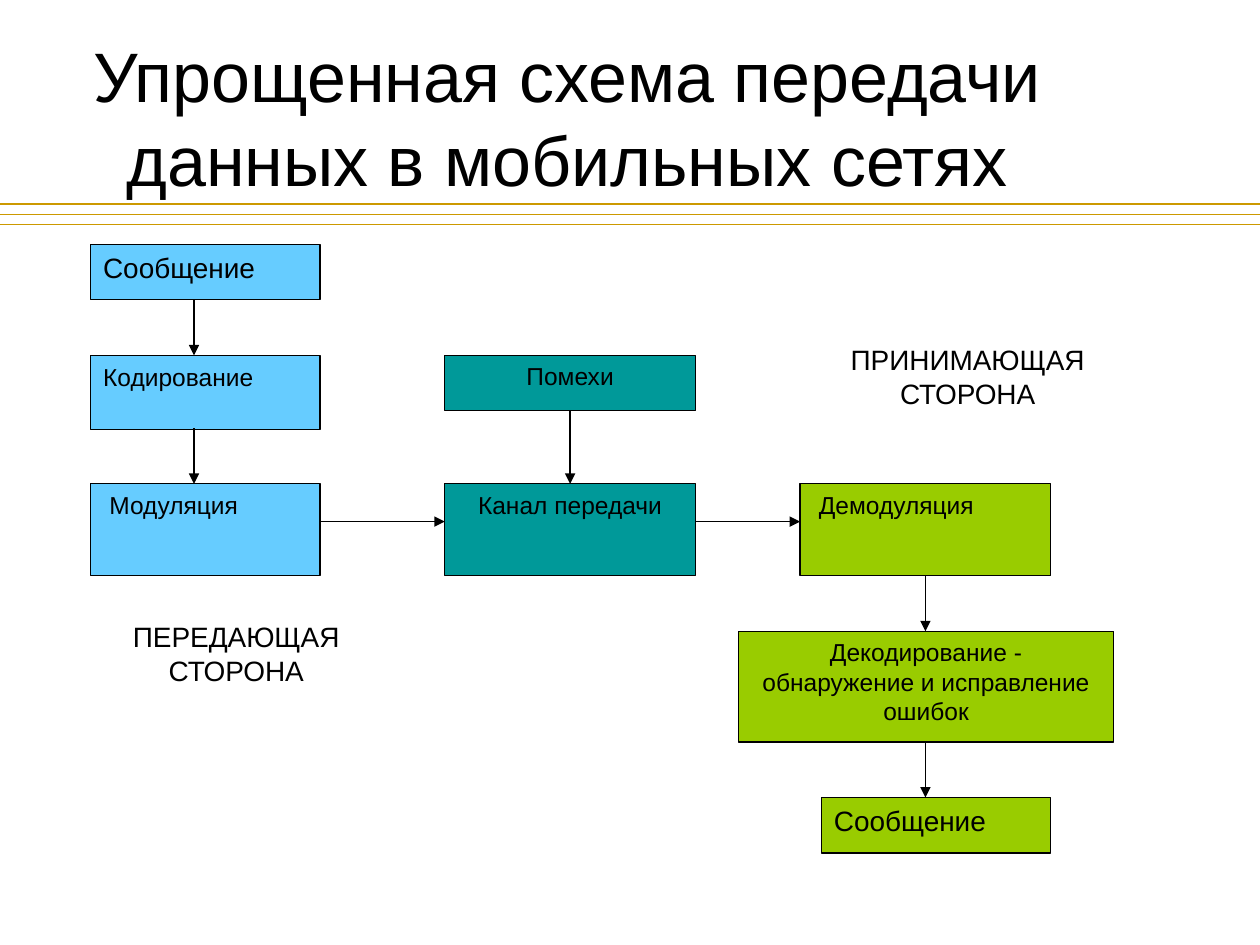
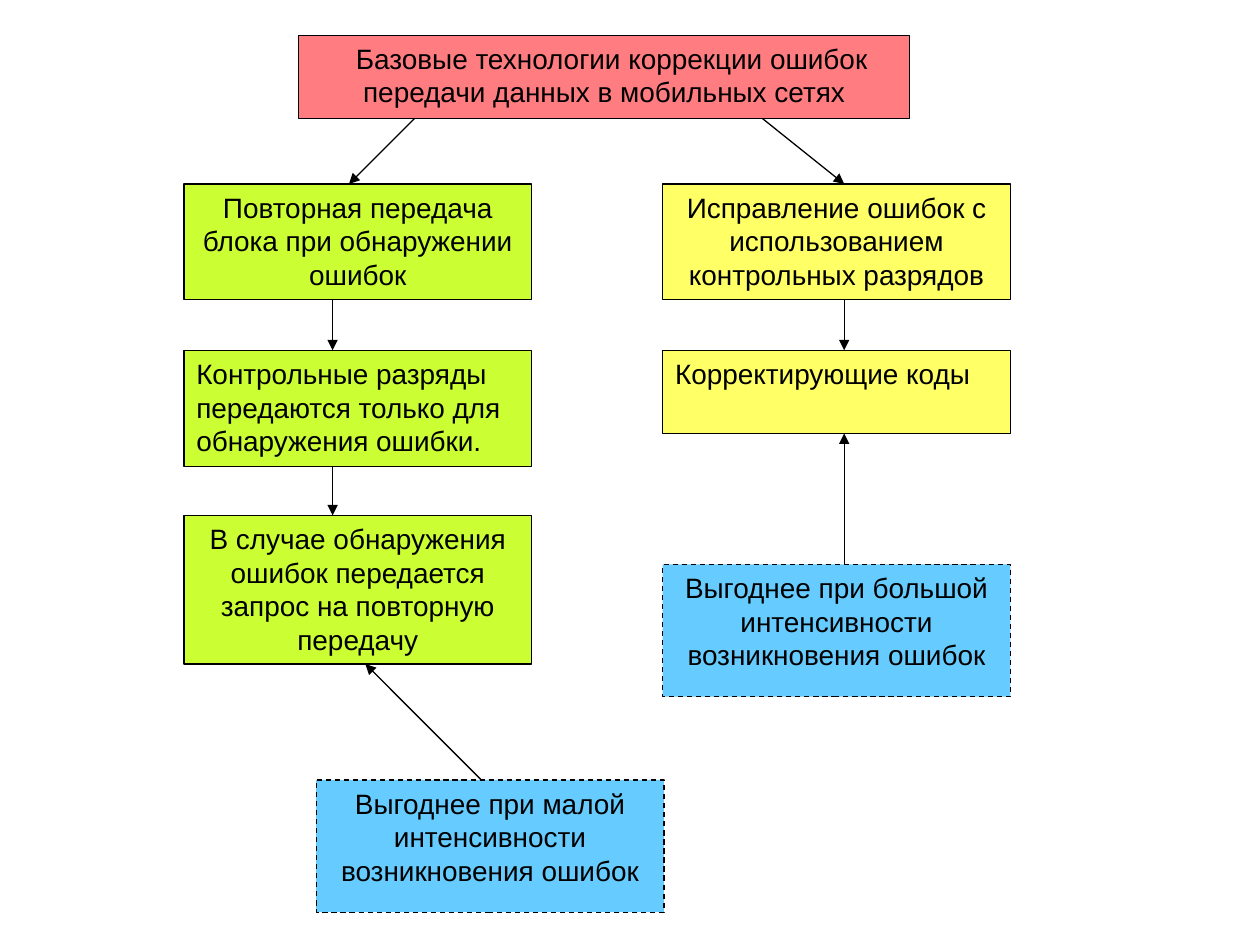
from pptx import Presentation
from pptx.dml.color import RGBColor
from pptx.enum.dml import MSO_LINE
from pptx.enum.shapes import MSO_CONNECTOR, MSO_SHAPE
from pptx.enum.text import MSO_ANCHOR, PP_ALIGN
from pptx.oxml.ns import qn
from pptx.util import Inches, Pt
from lxml.etree import SubElement

BLACK = RGBColor(0x00, 0x00, 0x00)
WHITE = RGBColor(0xFF, 0xFF, 0xFF)
GOLD = RGBColor(0xCC, 0x99, 0x00)
SKY = RGBColor(0x66, 0xCC, 0xFF)
TEAL = RGBColor(0x00, 0x99, 0x99)
GREEN = RGBColor(0x99, 0xCC, 0x00)
LIME = RGBColor(0xCC, 0xFF, 0x33)
YELLOW = RGBColor(0xFF, 0xFF, 0x66)
CORAL = RGBColor(0xFF, 0x7C, 0x80)

FONT = "Arial"
LINE_WIDTH = Pt(0.75)
TITLE_ONLY, BLANK = 5, 6


def write(frame, text, size=16, align=PP_ALIGN.CENTER, anchor=MSO_ANCHOR.TOP, indent=0):
    """Fill a text frame with one paragraph; indent (inches) shifts its first line."""
    frame.word_wrap = True
    frame.vertical_anchor = anchor
    frame.margin_left = frame.margin_right = Inches(0.1)
    frame.margin_top = frame.margin_bottom = Inches(0.05)
    para = frame.paragraphs[0]
    para.alignment = align
    if indent:
        properties = para._p.get_or_add_pPr()
        properties.set("marL", "0")
        properties.set("indent", str(Inches(indent)))
    span = para.add_run()
    span.text = text
    span.font.name = FONT
    span.font.size = Pt(size)
    span.font.color.rgb = BLACK


class Scheme:
    """Draws flow diagrams on the current page of a deck."""

    def __init__(self):
        self.deck = Presentation()
        self.deck.slide_width = Inches(10)
        self.deck.slide_height = Inches(7.5)
        self.page = None

    def add_page(self, layout):
        self.page = self.deck.slides.add_slide(self.deck.slide_layouts[layout])
        self.page.background.fill.solid()
        self.page.background.fill.fore_color.rgb = WHITE

    def title(self, text):
        title = self.page.shapes.title
        title.left, title.top = Inches(0), Inches(0.3)
        title.width, title.height = Inches(9), Inches(1.25)
        write(title.text_frame, text, size=40, anchor=MSO_ANCHOR.MIDDLE)

    def box(self, left, top, width, height, text, fill, dashed=False, **style):
        box = self.page.shapes.add_shape(
            MSO_SHAPE.RECTANGLE, Inches(left), Inches(top), Inches(width), Inches(height))
        box.shadow.inherit = False
        box.fill.solid()
        box.fill.fore_color.rgb = fill
        box.line.color.rgb = BLACK
        box.line.width = LINE_WIDTH
        if dashed:
            box.line.dash_style = MSO_LINE.DASH
        write(box.text_frame, text, **style)

    def label(self, left, top, width, height, text):
        label = self.page.shapes.add_textbox(
            Inches(left), Inches(top), Inches(width), Inches(height))
        write(label.text_frame, text)

    def line(self, start, end, color=BLACK):
        line = self.page.shapes.add_connector(
            MSO_CONNECTOR.STRAIGHT, *(Inches(length) for length in (*start, *end)))
        line.line.color.rgb = color
        line.line.width = LINE_WIDTH
        SubElement(line._element.spPr, qn("a:effectLst"))
        return line

    def arrow(self, start, end):
        outline = self.line(start, end).line._get_or_add_ln()
        SubElement(outline, qn("a:tailEnd"), type="triangle")

    def down_arrows(self, x, *spans):
        for top, bottom in spans:
            self.arrow((x, top), (x, bottom))


def build_transmission(scheme):
    scheme.add_page(TITLE_ONLY)
    scheme.title("Упрощенная схема передачи данных в мобильных сетях")
    for row in range(3):
        y = 1.62 + 0.08 * row
        scheme.line((0, y), (10, y), GOLD)

    left = PP_ALIGN.LEFT
    sender, channel, receiver = 0.72, 3.53, 6.35
    narrow, wide = 1.82, 1.99
    top, middle, low = 1.94, 2.82, 3.84

    scheme.box(sender, top, narrow, 0.44, "Сообщение", SKY, align=left)
    scheme.box(sender, middle, narrow, 0.59, "Кодирование", SKY, size=14, align=left)
    scheme.box(sender, low, narrow, 0.73, "Модуляция", SKY, size=14, align=left, indent=0.05)
    scheme.box(channel, middle, wide, 0.44, "Помехи", TEAL, size=14)
    scheme.box(channel, low, wide, 0.73, "Канал передачи", TEAL, size=14)
    scheme.box(receiver, low, wide, 0.73, "Демодуляция", GREEN, size=14, align=left, indent=0.05)
    scheme.box(5.86, 5.01, 2.98, 0.88,
               "Декодирование - обнаружение и исправление ошибок", GREEN, size=14)
    scheme.box(6.52, 6.33, narrow, 0.44, "Сообщение", GREEN, align=left)
    scheme.label(0.55, 4.87, 2.65, 0.73, "ПЕРЕДАЮЩАЯ СТОРОНА")
    scheme.label(6.19, 2.67, 2.98, 0.73, "ПРИНИМАЮЩАЯ СТОРОНА")

    scheme.down_arrows(1.54, (2.38, middle), (3.4, low))
    scheme.down_arrows(channel + wide / 2, (3.26, low))
    scheme.down_arrows(receiver + wide / 2, (4.57, 5.01), (5.89, 6.33))
    scheme.arrow((sender + narrow, 4.14), (channel, 4.14))
    scheme.arrow((channel + wide, 4.14), (receiver, 4.14))


def build_correction(scheme):
    scheme.add_page(BLANK)
    width = 2.76
    retry, repair = 1.46, 5.26
    retry_axis, repair_axis = 2.64, 6.7

    scheme.box(2.37, 0.28, 4.85, 0.66,
               "Базовые технологии коррекции ошибок передачи данных в мобильных сетях",
               CORAL, indent=0.12)
    scheme.box(retry, 1.46, width, 0.92,
               "Повторная передача блока при обнаружении ошибок", LIME)
    scheme.box(retry, 2.78, width, 0.92,
               "Контрольные разряды передаются только для обнаружения ошибки.",
               LIME, align=PP_ALIGN.LEFT)
    scheme.box(retry, 4.09, width, 1.18,
               "В случае обнаружения ошибок передается запрос на повторную передачу", LIME)
    scheme.box(repair, 1.46, width, 0.92,
               "Исправление ошибок с использованием контрольных разрядов", YELLOW)
    scheme.box(repair, 2.78, width, 0.66, "Корректирующие коды", YELLOW, align=PP_ALIGN.LEFT)
    for x, y, intensity in ((2.51, 6.19, "малой"), (repair, 4.48, "большой")):
        scheme.box(x, y, width, 1.05,
                   f"Выгоднее при {intensity} интенсивности возникновения ошибок",
                   SKY, dashed=True)

    scheme.arrow((3.29, 0.94), (2.77, 1.46))
    scheme.arrow((6.05, 0.94), (repair_axis, 1.46))
    scheme.down_arrows(retry_axis, (2.38, 2.78), (3.7, 4.09))
    scheme.down_arrows(repair_axis, (2.38, 2.78))
    scheme.arrow((3.82, 6.19), (2.9, 5.27))
    scheme.arrow((repair_axis, 4.48), (repair_axis, 3.44))


def main():
    scheme = Scheme()
    build_transmission(scheme)
    build_correction(scheme)
    scheme.deck.save("out.pptx")


if __name__ == "__main__":
    main()
